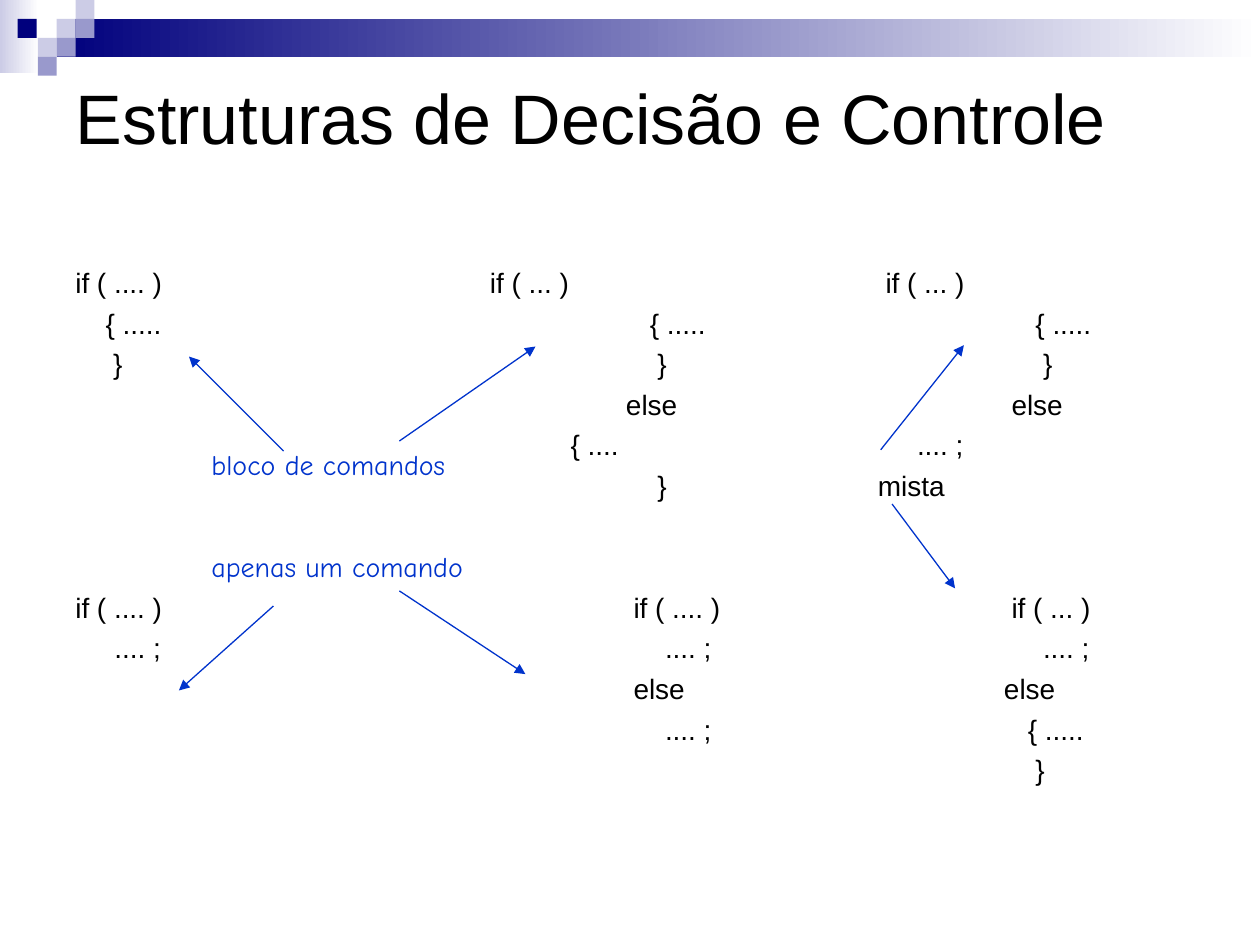
from typing import NamedTuple

from lxml import etree
from pptx import Presentation
from pptx.dml.color import RGBColor
from pptx.enum.shapes import MSO_CONNECTOR, MSO_SHAPE
from pptx.enum.text import MSO_ANCHOR, MSO_AUTO_SIZE, PP_ALIGN
from pptx.oxml.ns import qn
from pptx.util import Inches, Pt

RECTANGLE = MSO_SHAPE.RECTANGLE
STRAIGHT = MSO_CONNECTOR.STRAIGHT
TOP = MSO_ANCHOR.TOP
NO_AUTOFIT = MSO_AUTO_SIZE.NONE
LEFT = PP_ALIGN.LEFT

COLORS = {
    "navy": "00007D",
    "lavender": "CCCCE6",
    "violet": "9999CC",
    "white": "FFFFFF",
    "black": "000000",
    "blue": "0033CC",
}
SQUARE = 0.15
LINE_GAP = 4
GROUP_GAP = 50.4


class Band(NamedTuple):
    left: float
    top: float
    width: float
    height: float
    color: str


class Square(NamedTuple):
    left: float
    top: float
    color: str


class Piece(NamedTuple):
    """A fragment of code and its distance from the left text edge."""
    offset: float
    text: str


class Arrow(NamedTuple):
    start: tuple[float, float]
    end: tuple[float, float]


BANDS = [
    Band(0, 0, 0.31, 0.58, "lavender"),
    Band(0.45, 0.15, 9.55, 0.3, "navy"),
]
SQUARES = [
    Square(0.45, 0.15, "lavender"),
    Square(0.6, 0, "lavender"),
    Square(0.6, 0.15, "violet"),
    Square(0.3, 0.3, "lavender"),
    Square(0.14, 0.15, "navy"),
    Square(0.45, 0.3, "violet"),
    Square(0.3, 0.45, "violet"),
]
BLOCK_LINES = [
    [Piece(0, "if ( .... )"), Piece(3.29, "if ( ... )"), Piece(6.43, "if ( ... )")],
    [Piece(0.24, "{ ....."), Piece(4.56, "{ ....."), Piece(7.62, "{ .....")],
    [Piece(0.3, "}"), Piece(4.62, "}"), Piece(7.68, "}")],
    [Piece(4.37, "else"), Piece(7.43, "else")],
    [Piece(3.93, "{ ...."), Piece(6.68, ".... ;")],
    [Piece(4.62, "}"), Piece(6.37, "mista")],
]
SINGLE_LINES = [
    [Piece(0, "if ( .... )"), Piece(4.43, "if ( .... )"), Piece(7.43, "if ( ... )")],
    [Piece(0.31, ".... ;"), Piece(4.68, ".... ;"), Piece(7.68, ".... ;")],
    [Piece(4.43, "else"), Piece(7.37, "else")],
    [Piece(4.68, ".... ;"), Piece(7.56, "{ .....")],
    [Piece(7.62, "}")],
]
ARROWS = [
    Arrow((2.25, 3.58), (1.5, 2.83)),
    Arrow((3.17, 3.5), (4.25, 2.75)),
    Arrow((7.08, 4), (7.58, 4.67)),
    Arrow((2.17, 4.81), (1.42, 5.48)),
    Arrow((3.17, 4.69), (4.17, 5.35)),
    Arrow((6.99, 3.57), (7.65, 2.74)),
]


def rgb(name: str) -> RGBColor:
    return RGBColor.from_string(COLORS[name])


def style_paragraph(para, size: float, font: str, color: str) -> None:
    para.alignment = LEFT
    for span in para.runs:
        span.font.size = Pt(size)
        span.font.name = font
        span.font.color.rgb = rgb(color)


def add_rectangle(slide, left: float, top: float, width: float, height: float):
    box = slide.shapes.add_shape(
        RECTANGLE, Inches(left), Inches(top), Inches(width), Inches(height))
    box.shadow.inherit = False
    box.line.fill.background()
    return box


def add_band(slide, band: Band) -> None:
    """Draw a bar fading from its colour to white, left to right."""
    box = add_rectangle(slide, band.left, band.top, band.width, band.height)
    box.fill.gradient()
    box.fill.gradient_angle = 0
    for stop, color in zip(box.fill.gradient_stops, (band.color, "white")):
        stop.color.rgb = rgb(color)


def add_square(slide, square: Square) -> None:
    box = add_rectangle(slide, square.left, square.top, SQUARE, SQUARE)
    box.fill.solid()
    box.fill.fore_color.rgb = rgb(square.color)


def fill_title(title) -> None:
    title.left, title.top = Inches(0.5), Inches(0.5)
    title.width, title.height = Inches(9), Inches(1.5)
    frame = title.text_frame
    frame.text = "Estruturas de Decisão e Controle"
    frame.vertical_anchor = TOP
    frame.auto_size = NO_AUTOFIT
    frame.margin_top = Inches(0.09)
    style_paragraph(frame.paragraphs[0], 40, "Arial", "black")


def add_text_frame(slide, left: float, top: float, width: float, height: float):
    box = slide.shapes.add_textbox(
        Inches(left), Inches(top), Inches(width), Inches(height))
    box.text_frame.word_wrap = True
    return box.text_frame


def write_code_line(para, pieces: list[Piece], gap: float) -> None:
    """Put each piece at its own tab stop; a piece at the margin needs none."""
    para.text = "".join(
        ("\t" if piece.offset else "") + piece.text for piece in pieces)
    para.space_before = Pt(gap)
    style_paragraph(para, 16, "Arial", "black")
    tabs = etree.SubElement(para._p.get_or_add_pPr(), qn("a:tabLst"))
    for piece in pieces:
        if piece.offset:
            etree.SubElement(tabs, qn("a:tab"), pos=str(Inches(piece.offset)), algn="l")


def add_code(slide) -> None:
    frame = add_text_frame(slide, 0.5, 2.06, 8.94, 4.56)
    for number, pieces in enumerate(BLOCK_LINES + SINGLE_LINES):
        para = frame.add_paragraph() if number else frame.paragraphs[0]
        gap = GROUP_GAP if number == len(BLOCK_LINES) else LINE_GAP
        write_code_line(para, pieces, gap)


def add_labels(slide) -> None:
    frame = add_text_frame(slide, 1.58, 3.5, 2.75, 1.18)
    frame.text = "bloco de comandos\napenas um comando"
    for para, gap in zip(frame.paragraphs, (10, 39.5)):
        para.space_before = Pt(gap)
        style_paragraph(para, 16, "Comic Neue", "blue")


def add_arrow(slide, arrow: Arrow) -> None:
    ends = [Inches(value) for value in arrow.start + arrow.end]
    connector = slide.shapes.add_connector(STRAIGHT, *ends)
    connector.line.color.rgb = rgb("blue")
    connector.line.width = Pt(0.75)
    etree.SubElement(connector.line._get_or_add_ln(), qn("a:tailEnd"), type="triangle")
    etree.SubElement(connector._element.spPr, qn("a:effectLst"))


def main() -> None:
    deck = Presentation()
    deck.slide_width, deck.slide_height = Inches(10), Inches(7.5)
    page = deck.slides.add_slide(deck.slide_layouts[5])
    for band in BANDS:
        add_band(page, band)
    for square in SQUARES:
        add_square(page, square)
    fill_title(page.shapes.title)
    add_code(page)
    add_labels(page)
    for arrow in ARROWS:
        add_arrow(page, arrow)
    deck.save("out.pptx")


if __name__ == "__main__":
    main()
